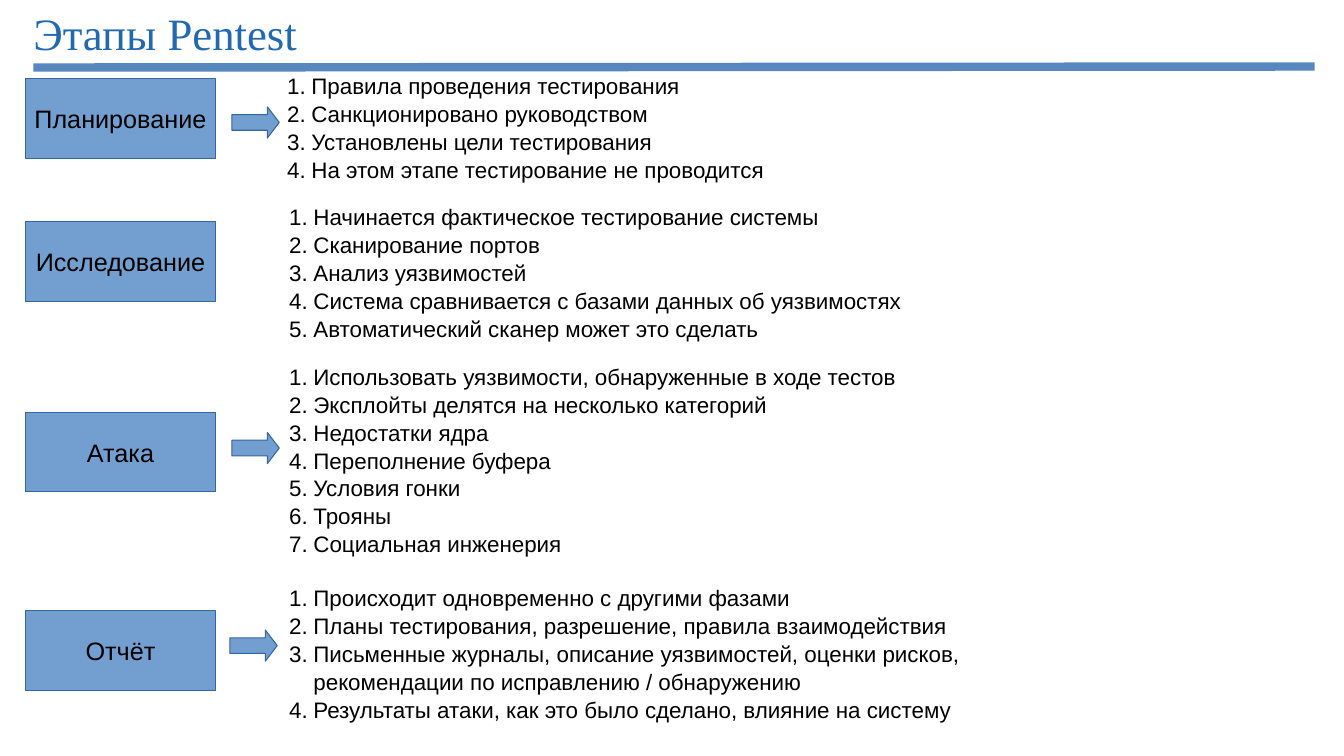
from dataclasses import dataclass

from lxml import etree
from pptx import Presentation
from pptx.dml.color import RGBColor
from pptx.enum.shapes import MSO_CONNECTOR, MSO_SHAPE
from pptx.enum.text import MSO_ANCHOR, PP_ALIGN
from pptx.oxml.ns import qn
from pptx.util import Pt

PX = 9144  # EMU per px, 100 px to the inch
RECT, ARROW = MSO_SHAPE.RECTANGLE, MSO_SHAPE.RIGHT_ARROW
STRAIGHT = MSO_CONNECTOR.STRAIGHT
MIDDLE, CENTER = MSO_ANCHOR.MIDDLE, PP_ALIGN.CENTER


@dataclass(frozen=True)
class Theme:
    title: str = "2369B0"
    rule: str = "5887C0"
    fill: str = "729FCF"
    edge: str = "3465A4"
    text: str = "000000"
    title_font: str = "Times New Roman"
    body_font: str = "Arial"
    title_size: int = 32
    stage_size: int = 18
    list_size: int = 16
    list_spacing: float = 1.04
    list_indent: int = 24


class Deck:
    def __init__(self, theme):
        self.theme = theme
        self.prs = Presentation()
        self.prs.slide_width, self.prs.slide_height = 1333 * PX, 750 * PX
        self.s = self.prs.slides.add_slide(self.prs.slide_layouts[6])

    def style(self, p, size, color, font):
        for r in p.runs:
            r.font.size = Pt(size)
            r.font.name = font
            r.font.color.rgb = RGBColor.from_string(color)

    def textbox(self, x, y, w, h):
        tf = self.s.shapes.add_textbox(x * PX, y * PX, w * PX, h * PX).text_frame
        tf.word_wrap = True
        return tf

    def title(self, x, y, w, h, text):
        tf = self.textbox(x, y, w, h)
        tf.margin_left = tf.margin_right = tf.margin_top = tf.margin_bottom = 0
        tf.text = text
        t = self.theme
        self.style(tf.paragraphs[0], t.title_size, t.title, t.title_font)

    def rule(self, x1, y1, x2, y2, width):
        line = self.s.shapes.add_connector(STRAIGHT, x1 * PX, y1 * PX, x2 * PX, y2 * PX)
        line.line.color.rgb = RGBColor.from_string(self.theme.rule)
        line.line.width = Pt(width)
        etree.SubElement(line._element.spPr, qn("a:effectLst"))

    def shape(self, kind, x, y, w, h):
        sp = self.s.shapes.add_shape(kind, x * PX, y * PX, w * PX, h * PX)
        sp.shadow.inherit = False
        sp.fill.solid()
        sp.fill.fore_color.rgb = RGBColor.from_string(self.theme.fill)
        sp.line.color.rgb = RGBColor.from_string(self.theme.edge)
        sp.line.width = 0
        return sp

    def stage(self, x, y, w, h, text):
        tf = self.shape(RECT, x, y, w, h).text_frame
        tf.word_wrap = False
        tf.vertical_anchor = MIDDLE
        tf.text = text
        p = tf.paragraphs[0]
        p.alignment = CENTER
        self.style(p, self.theme.stage_size, self.theme.text, self.theme.body_font)

    def arrow(self, x, y, w, h):
        sp = self.shape(ARROW, x, y, w, h)
        sp.adjustments[0], sp.adjustments[1] = 0.5, 0.38

    def numbered(self, x, y, w, h, items):
        tf = self.textbox(x, y, w, h)
        t = self.theme
        for i, item in enumerate(items):
            p = tf.add_paragraph() if i else tf.paragraphs[0]
            p.text = item
            pPr = p._p.get_or_add_pPr()
            pPr.set("marL", str(t.list_indent * PX))
            pPr.set("indent", str(-t.list_indent * PX))
            etree.SubElement(pPr, qn("a:buAutoNum"), type="arabicPeriod")
            p.line_spacing = t.list_spacing
            self.style(p, t.list_size, t.text, t.body_font)


# Stage name, box top, arrow position, list box, list items
STAGES = [
    ("Планирование", 78, (230, 106), (275, 66, 659, 122), [
        "Правила проведения тестирования",
        "Санкционировано руководством",
        "Установлены цели тестирования",
        "На этом этапе тестирование не проводится",
    ]),
    ("Исследование", 220, None, (277, 196, 701, 178), [
        "Начинается фактическое тестирование системы",
        "Сканирование портов",
        "Анализ уязвимостей",
        "Система сравнивается с базами данных об уязвимостях",
        "Автоматический сканер может это сделать",
    ]),
    ("Атака", 409, (230, 429), (277, 354, 709, 234), [
        "Использовать уязвимости, обнаруженные в ходе тестов",
        "Эксплойты делятся на несколько категорий",
        "Недостатки ядра",
        "Переполнение буфера",
        "Условия гонки",
        "Трояны",
        "Социальная инженерия",
    ]),
    ("Отчёт", 606, (228, 625), (277, 574, 939, 150), [
        "Происходит одновременно с другими фазами",
        "Планы тестирования, разрешение, правила взаимодействия",
        "Письменные журналы, описание уязвимостей, оценки рисков,\n"
        "рекомендации по исправлению / обнаружению",
        "Результаты атаки, как это было сделано, влияние на систему",
    ]),
]


def main():
    deck = Deck(Theme())

    # Heading
    deck.title(33, 6, 692, 52, "Этапы Pentest")
    deck.rule(33, 67, 1304, 66, 6)

    # Stages with their numbered steps
    for name, top, arrow, box, items in STAGES:
        deck.stage(25, top, 189, 79, name)
        if arrow:
            deck.arrow(*arrow, 47, 31)
        deck.numbered(*box, items)

    deck.prs.save("out.pptx")


if __name__ == "__main__":
    main()
